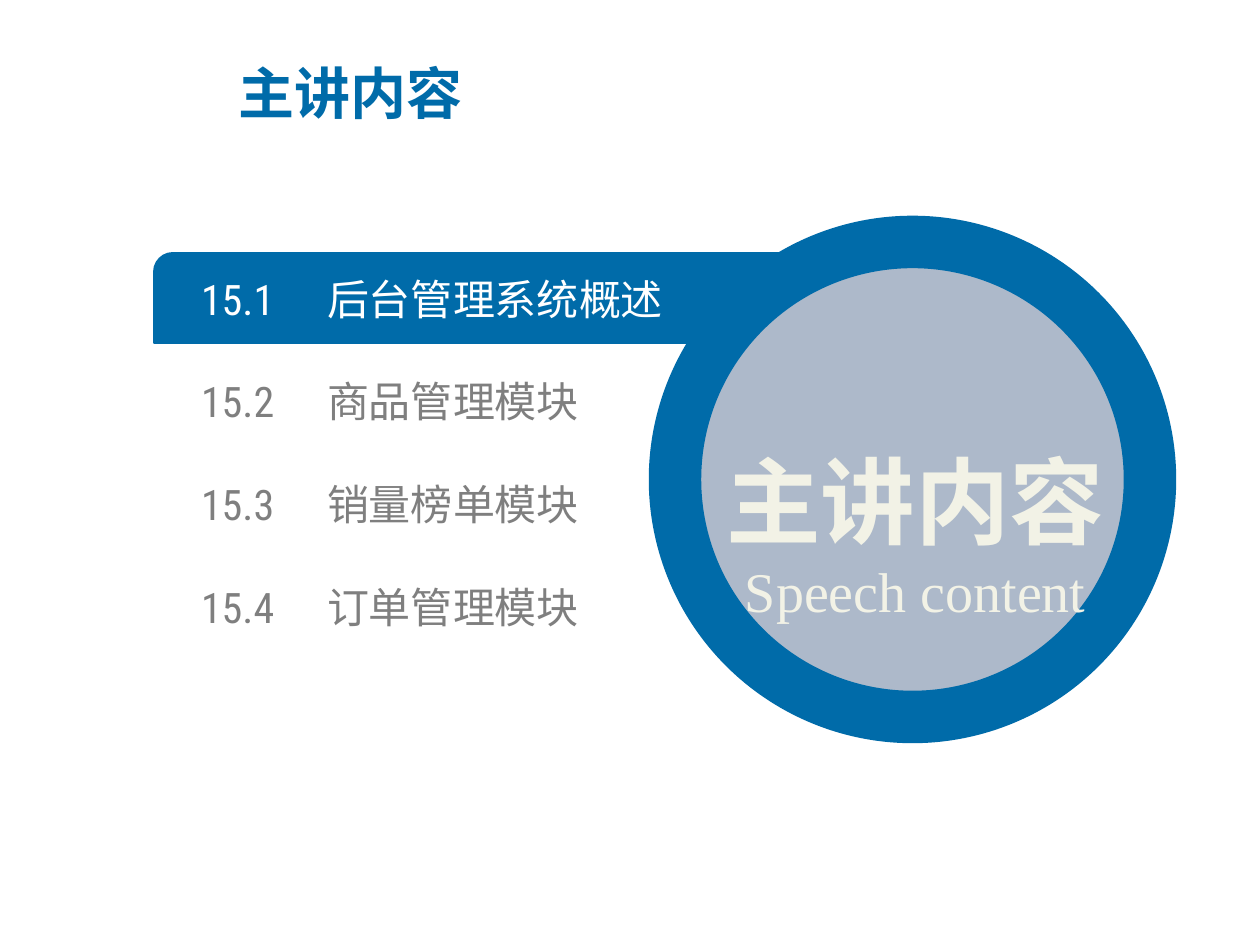
from lxml.etree import SubElement
from pptx import Presentation
from pptx.dml.color import RGBColor
from pptx.enum.shapes import MSO_SHAPE
from pptx.enum.text import MSO_ANCHOR, MSO_AUTO_SIZE, PP_ALIGN
from pptx.oxml.ns import qn
from pptx.util import Emu, Pt

PX = 914400 / 126
THEME = {
    "blue": "006BA9", "disc": "ADB9CA", "cream": "F2F2E6",
    "grey": "7F7F7F", "white": "FFFFFF",
    "cjk": "Noto Sans CJK SC", "list": "Roboto Condensed", "latin": "Times New Roman",
    "title_pt": 32, "list_pt": 24, "big_pt": 54, "sub_pt": 32,
}


def box(*lengths):
    return [Emu(round(n * PX)) for n in lengths]


def add_run(p, text, font, size, color, bold=False):
    r = p.add_run()
    r.text = text
    r.font.name = THEME[font]
    r.font.size = Pt(THEME[size])
    r.font.bold = bold
    r.font.color.rgb = RGBColor.from_string(THEME[color])
    SubElement(r.font._element, qn("a:ea"), typeface=THEME["cjk"])


prs = Presentation()
prs.slide_width, prs.slide_height = box(1260, 945)
s = prs.slides.add_slide(prs.slide_layouts[1])
title, body = s.shapes.title, s.placeholders[1]

# Title
title.left, title.top, title.width, title.height = box(226, 54, 682, 77)
tf = title.text_frame
tf.auto_size = MSO_AUTO_SIZE.NONE
tf.vertical_anchor = MSO_ANCHOR.MIDDLE
p = tf.paragraphs[0]
p.alignment = PP_ALIGN.LEFT
add_run(p, "主讲内容", "cjk", "title_pt", "blue", True)

# Highlight bar and ringed disc
bar = s.shapes.add_shape(MSO_SHAPE.ROUND_2_DIAG_RECTANGLE, *box(154, 253, 645, 90))
bar.adjustments[0] = 0.21
bar.adjustments[1] = 0
disc = s.shapes.add_shape(MSO_SHAPE.OVAL, *box(675, 242, 475, 475))
for sp, fill, line_pt in ((bar, "blue", 1), (disc, "disc", 30)):
    sp.shadow.inherit = False
    sp.fill.solid()
    sp.fill.fore_color.rgb = RGBColor.from_string(THEME[fill])
    sp.line.color.rgb = RGBColor.from_string(THEME["blue"])
    sp.line.width = Pt(line_pt)

# Disc caption
caption = s.shapes.add_textbox(*box(670, 379, 491, 252))
tf = caption.text_frame
tf.word_wrap = True
tf.vertical_anchor = MSO_ANCHOR.MIDDLE
p = tf.paragraphs[0]
p.alignment = PP_ALIGN.CENTER
p.line_spacing = 1.5
add_run(p, "主讲内容", "cjk", "big_pt", "cream", True)
p = tf.add_paragraph()
p.alignment = PP_ALIGN.CENTER
add_run(p, "Speech content", "latin", "sub_pt", "cream")

# Chapter list, in front of the bar
s.shapes._spTree.append(body._element)
body.left, body.top, body.width, body.height = box(201, 262, 490, 370)
tf = body.text_frame
tf.auto_size = MSO_AUTO_SIZE.NONE
tf.vertical_anchor = MSO_ANCHOR.MIDDLE
tf.margin_left = tf.margin_top = tf.margin_right = tf.margin_bottom = 0
chapters = ["后台管理系统概述", "商品管理模块", "销量榜单模块", "订单管理模块"]
for i, name in enumerate(chapters):
    p = tf.add_paragraph() if i else tf.paragraphs[0]
    p.line_spacing = Pt(35)
    p.space_before = Pt(23.7 if i else 0)
    pPr = p._p.get_or_add_pPr()
    pPr.set("marL", "0")
    pPr.set("indent", "0")
    SubElement(pPr, qn("a:buNone"))
    tabs = SubElement(pPr, qn("a:tabLst"))
    SubElement(tabs, qn("a:tab"), pos=str(box(116)[0]), algn="l")
    add_run(p, f"15.{i + 1}\t{name}", "list", "list_pt", "grey" if i else "white")

prs.save("out.pptx")
